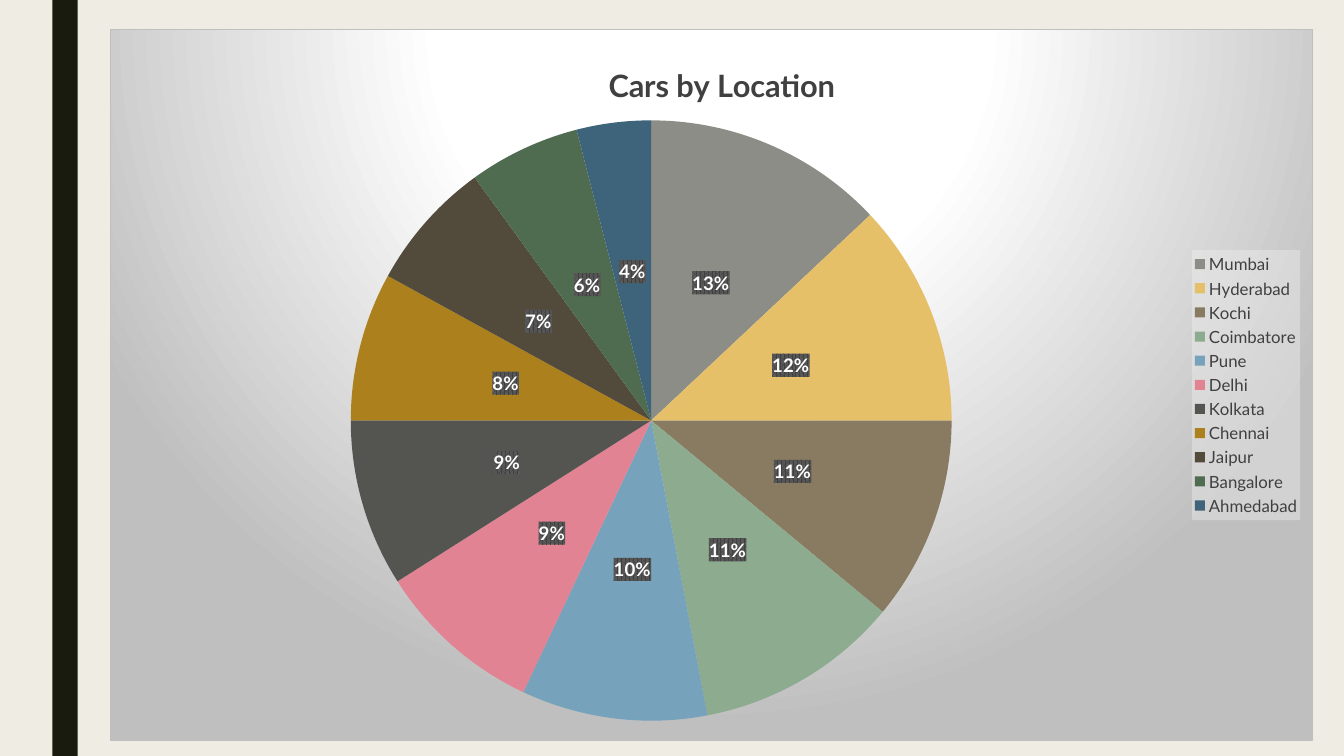
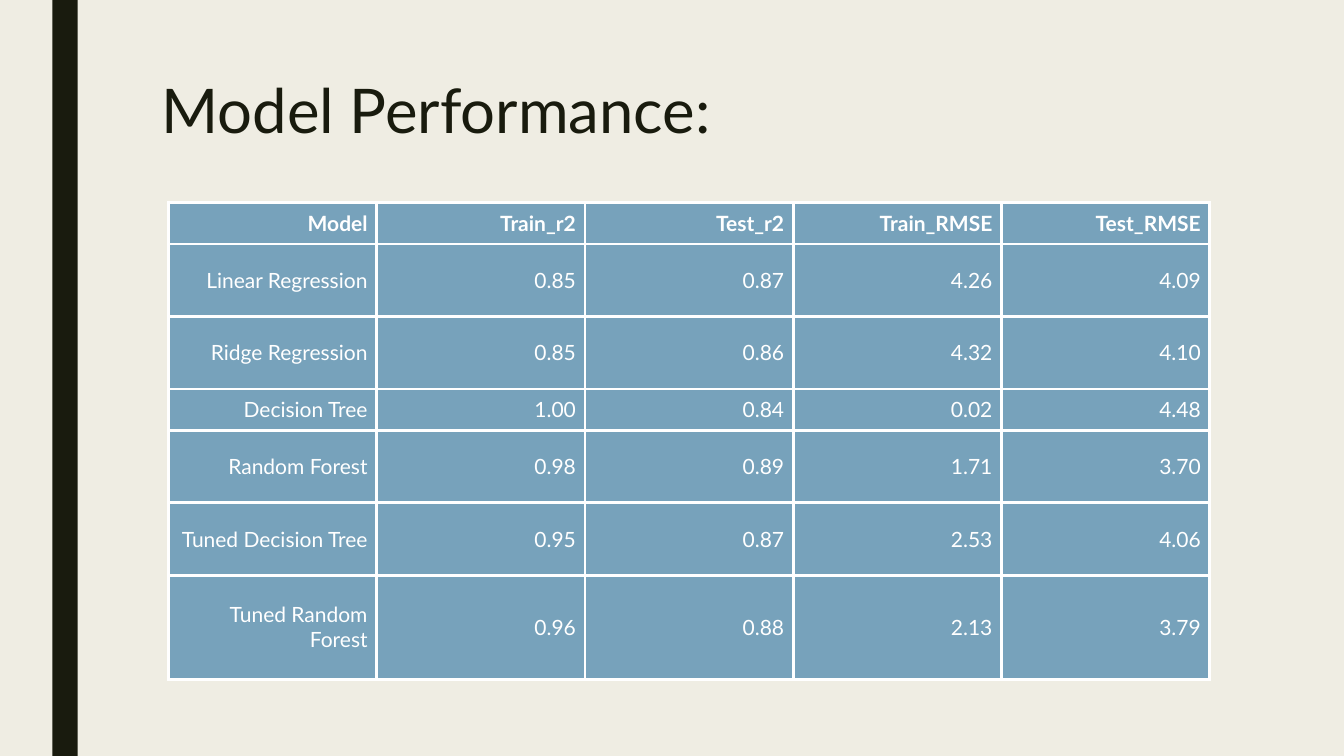
from lxml import etree
from pptx import Presentation
from pptx import util as u
from pptx.chart import data as chart_data
from pptx.dml import color
from pptx.enum import chart as charts, shapes, text
from pptx.oxml import ns, parse_xml

FONT = "Lato"
BACKGROUND = "EFEDE3"
DARK = "191B0E"
GREY = "404040"
WHITE = "FFFFFF"
TABLE_BLUE = "77A2BB"

LOCATIONS = [
    ("Mumbai", 13, "8C8D86"),
    ("Hyderabad", 12, "E6C069"),
    ("Kochi", 11, "897B61"),
    ("Coimbatore", 11, "8DAB8E"),
    ("Pune", 10, "77A2BB"),
    ("Delhi", 9, "E28394"),
    ("Kolkata", 9, "545550"),
    ("Chennai", 8, "AC811D"),
    ("Jaipur", 7, "524A3A"),
    ("Bangalore", 6, "4F6C50"),
    ("Ahmedabad", 4, "3D647A"),
]

MODEL_ROWS = [
    ("Model", "Train_r2", "Test_r2", "Train_RMSE", "Test_RMSE"),
    ("Linear Regression", "0.85", "0.87", "4.26", "4.09"),
    ("Ridge Regression", "0.85", "0.86", "4.32", "4.10"),
    ("Decision Tree", "1.00", "0.84", "0.02", "4.48"),
    ("Random Forest", "0.98", "0.89", "1.71", "3.70"),
    ("Tuned Decision Tree", "0.95", "0.87", "2.53", "4.06"),
    ("Tuned Random Forest", "0.96", "0.88", "2.13", "3.79"),
]
ROW_HEIGHTS = [0.41, 0.72, 0.72, 0.41, 0.72, 0.72, 1.03]


def rgb(value):
    return color.RGBColor.from_string(value)


def inches(box):
    return [u.Inches(length) for length in box]


def format_font(font, size, fill, bold=False):
    font.name = FONT
    font.size = u.Pt(size)
    font.bold = bold
    font.color.rgb = rgb(fill)


def write_text(frame, words, size, fill, bold=False, align=None, spacing=None):
    frame.text = words
    paragraph = frame.paragraphs[0]
    paragraph.alignment = align
    paragraph.line_spacing = spacing
    format_font(paragraph.runs[0].font, size, fill, bold)


def drawing(tag, content):
    return parse_xml(f'<{tag} {ns.nsdecls("c", "a")}>{content}</{tag}>')


def fill_before_text(element, content):
    element.find(ns.qn("c:txPr")).addprevious(drawing("c:spPr", content))


def place_in_chart(element, target=None, **fractions):
    modes = '<c:xMode val="edge"/><c:yMode val="edge"/>'
    values = "".join(f'<c:{key} val="{value}"/>' for key, value in fractions.items())
    inner = f'<c:layoutTarget val="{target}"/>' if target else ""
    layout = drawing("c:layout", f"<c:manualLayout>{inner}{modes}{values}</c:manualLayout>")
    existing = element.find(ns.qn("c:layout"))
    overlay = element.find(ns.qn("c:overlay"))
    if existing is not None:
        element.replace(existing, layout)
    elif overlay is not None:
        overlay.addprevious(layout)
    else:
        element.insert(0, layout)


def add_side_band(slide, box):
    band = slide.shapes.add_shape(shapes.MSO_SHAPE.RECTANGLE, *inches(box))
    band.shadow.inherit = False
    band.fill.solid()
    band.fill.fore_color.rgb = rgb(DARK)
    band.line.fill.background()


def add_slide(presentation, layout_name):
    layout = presentation.slide_layouts.get_by_name(layout_name)
    slide = presentation.slides.add_slide(layout)
    add_side_band(slide, (0.52, 0, 0.25, 7.5))
    return slide


def format_title(slide, words, box):
    title = slide.shapes.title
    title.left, title.top, title.width, title.height = inches(box)
    frame = title.text_frame
    frame.word_wrap = True
    frame.auto_size = text.MSO_AUTO_SIZE.NONE
    frame.vertical_anchor = text.MSO_ANCHOR.TOP
    write_text(frame, words, size=44, fill=DARK, align=text.PP_ALIGN.LEFT, spacing=0.89)


def format_legend(chart):
    chart.has_legend = True
    legend = chart.legend
    legend.position = charts.XL_LEGEND_POSITION.RIGHT
    legend.include_in_layout = False
    format_font(legend.font, 12, GREY)
    place_in_chart(legend._element, x=0.9, y=0.31, w=0.09, h=0.38)
    fill_before_text(
        legend._element,
        '<a:solidFill><a:srgbClr val="F2F2F2"><a:alpha val="39000"/></a:srgbClr></a:solidFill>',
    )


def format_slices(chart):
    plot = chart.plots[0]
    plot.vary_by_categories = True
    series = plot.series[0]
    for index, (_, _, fill) in enumerate(LOCATIONS):
        point = series.points[index].format
        point.fill.solid()
        point.fill.fore_color.rgb = rgb(fill)
        point.line.fill.background()
    labels = series.data_labels
    format_font(labels.font, 13.3, WHITE, bold=True)
    labels.number_format = "0%"
    labels.number_format_is_linked = False
    labels.show_value = False
    labels.show_percentage = True
    labels.position = charts.XL_LABEL_POSITION.CENTER
    fill_before_text(
        labels._element,
        '<a:pattFill prst="pct75"><a:fgClr><a:srgbClr val="404040"/></a:fgClr>'
        '<a:bgClr><a:srgbClr val="595959"/></a:bgClr></a:pattFill>',
    )


def add_location_pie(slide, box):
    data = chart_data.CategoryChartData()
    data.categories = [name for name, _, _ in LOCATIONS]
    data.add_series("Series 1", [value for _, value, _ in LOCATIONS])
    chart = slide.shapes.add_chart(charts.XL_CHART_TYPE.PIE, *inches(box), data).chart
    format_font(chart.font, 10, "000000")
    chart.has_title = True
    write_text(chart.chart_title.text_frame, "Cars by Location", size=22, fill=GREY, bold=True)
    place_in_chart(chart.chart_title._element, x=0.41, y=0.04)
    format_legend(chart)
    format_slices(chart)
    space = chart._chartSpace
    plot_area = space.find(f'{ns.qn("c:chart")}/{ns.qn("c:plotArea")}')
    place_in_chart(plot_area, target="inner", x=0.2, y=0.12, w=0.5, h=0.86)
    stops = "".join(
        f'<a:gs pos="{position * 1000}"><a:srgbClr val="{fill}"/></a:gs>'
        for position, fill in [(0, WHITE), (39, WHITE), (100, "BFBFBF")]
    )
    fill_before_text(
        space,
        f"<a:gradFill><a:gsLst>{stops}</a:gsLst>"
        '<a:path path="circle"><a:fillToRect l="50000" t="-80000" r="50000" b="180000"/></a:path>'
        '</a:gradFill><a:ln w="9525"><a:solidFill><a:srgbClr val="BFBFBF"/></a:solidFill></a:ln>',
    )


def add_borders(cell, fill, width):
    properties = cell._tc.get_or_add_tcPr()
    for index, side in enumerate(("lnL", "lnR", "lnT", "lnB")):
        line = etree.Element(ns.qn(f"a:{side}"), w=str(u.Pt(width)))
        solid = etree.SubElement(line, ns.qn("a:solidFill"))
        etree.SubElement(solid, ns.qn("a:srgbClr"), val=fill)
        properties.insert(index, line)


def format_cell(cell, words, bold):
    cell.fill.solid()
    cell.fill.fore_color.rgb = rgb(TABLE_BLUE)
    cell.vertical_anchor = text.MSO_ANCHOR.MIDDLE
    cell.margin_left = cell.margin_right = u.Inches(0.09)
    cell.margin_top = cell.margin_bottom = u.Inches(0.04)
    write_text(cell.text_frame, words, size=15, fill=WHITE, bold=bold, align=text.PP_ALIGN.RIGHT)
    add_borders(cell, WHITE, 2.25)


def add_model_table(slide, box):
    column_count = len(MODEL_ROWS[0])
    frame = slide.shapes.add_table(len(MODEL_ROWS), column_count, *inches(box))
    table = frame.table
    for column in table.columns:
        column.width = u.Inches(box[2] / column_count)
    for row_index, (row, height) in enumerate(zip(MODEL_ROWS, ROW_HEIGHTS)):
        table.rows[row_index].height = u.Inches(height)
        for column_index, words in enumerate(row):
            format_cell(table.cell(row_index, column_index), words, bold=row_index == 0)


def build_location_slide(presentation):
    slide = add_slide(presentation, "Blank")
    add_location_pie(slide, (1.09, 0.29, 11.93, 7.06))


def build_performance_slide(presentation):
    slide = add_slide(presentation, "Title Only")
    format_title(slide, "Model Performance:", (1.5, 0.75, 10.5, 1.62))
    add_model_table(slide, (1.67, 2.01, 10.33, 4.74))


def main():
    presentation = Presentation()
    presentation.slide_width, presentation.slide_height = inches((13.33, 7.5))
    background = presentation.slide_master.background.fill
    background.solid()
    background.fore_color.rgb = rgb(BACKGROUND)
    build_location_slide(presentation)
    build_performance_slide(presentation)
    presentation.save("out.pptx")


if __name__ == "__main__":
    main()
